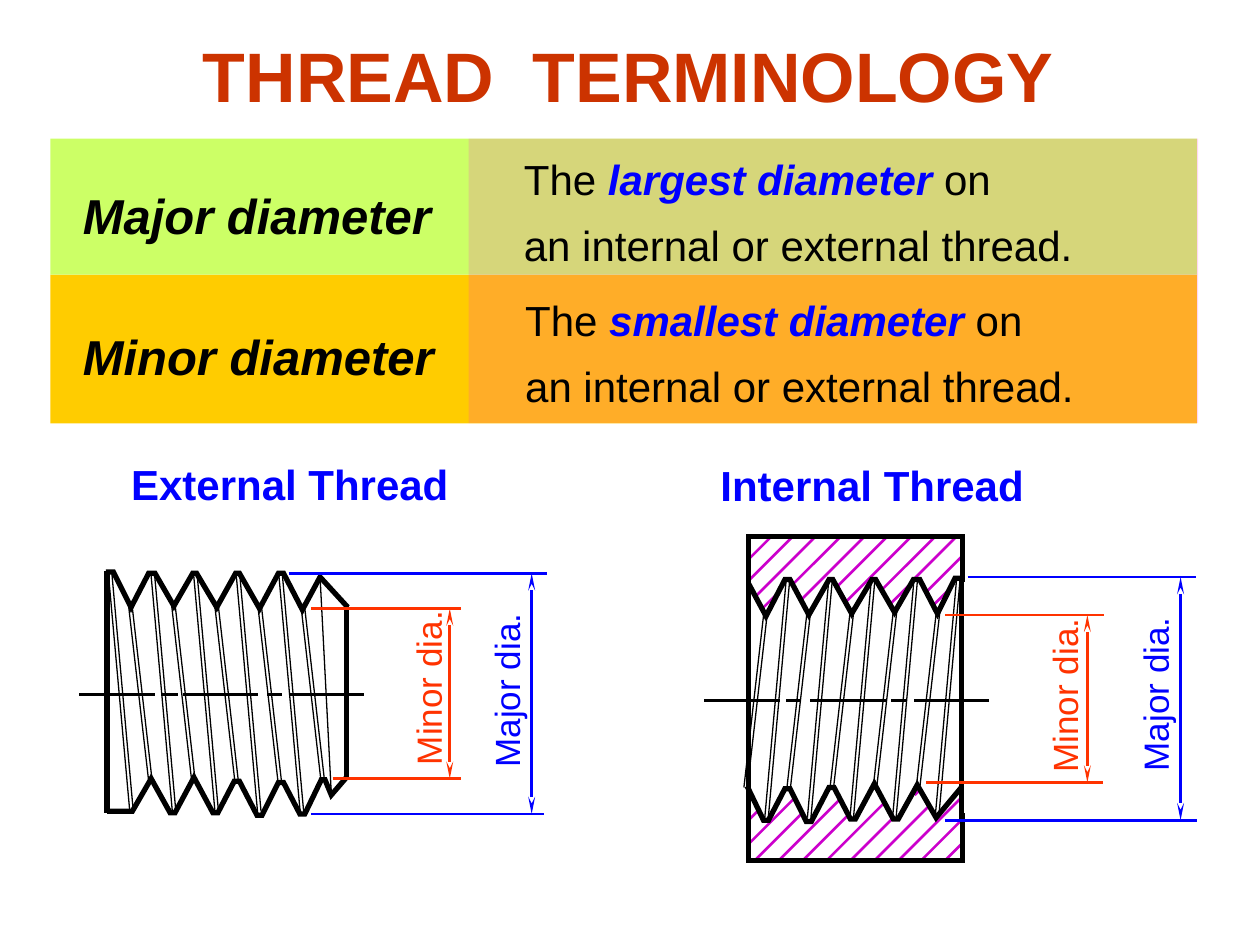
from dataclasses import dataclass
from typing import Any, NamedTuple

from lxml.etree import SubElement
from pptx import Presentation
from pptx.dml.color import RGBColor
from pptx.enum.shapes import MSO_CONNECTOR, MSO_SHAPE
from pptx.enum.text import MSO_ANCHOR, MSO_AUTO_SIZE, PP_ALIGN
from pptx.oxml.ns import qn
from pptx.util import Inches, Pt

CELL = 0.1  # the slide is a grid of 100 columns by 75 rows
COLS, ROWS = 100, 75
Point = tuple[float, float]


@dataclass(frozen=True)
class Theme:
    font: str = "Arial"
    black: str = "000000"
    blue: str = "0000FF"
    red: str = "FF3300"
    rust: str = "CC3300"
    hatch: str = "CC00CC"
    lime: str = "CCFF66"
    gold: str = "FFCC00"
    tint: str = "FF33CC"
    title: int = 40
    term: int = 28
    body: int = 24
    label: int = 20
    thick: float = 3
    mid: float = 1.5
    thin: float = 0.75


T = Theme()


class Run(NamedTuple):
    text: str
    size: int
    color: str = T.black
    bold: bool = False
    italic: bool = False


class Box(NamedTuple):
    col: float
    row: float
    wide: float
    high: float


class Edge(NamedTuple):
    left: float
    right: float
    row: float


class Gauge(NamedTuple):
    label: str
    color: str
    top: Edge
    base: Edge
    col: float  # column of the arrow
    box: Box


@dataclass(frozen=True)
class Frame:
    """Places thread points; the internal thread is a lowered mirror image."""
    flip: float = 0
    drop: float = 0

    def put(self, pts: list[Point]) -> list[Point]:
        return [(self.flip - x if self.flip else x, y + self.drop) for x, y in pts]


def grid(n: float) -> int:
    return Inches(n * CELL)


def rgb(code: str) -> RGBColor:
    return RGBColor.from_string(code)


def write(frame: Any, lines: list[list[Run]], align: Any = PP_ALIGN.LEFT, gap: float = 1.0) -> None:
    frame.word_wrap = True
    frame.auto_size = MSO_AUTO_SIZE.SHAPE_TO_FIT_TEXT
    frame.vertical_anchor = MSO_ANCHOR.TOP
    for i, line in enumerate(lines):
        para = frame.add_paragraph() if i else frame.paragraphs[0]
        para.alignment, para.line_spacing = align, gap
        for part in line:
            run = para.add_run()
            run.text = part.text
            font = run.font
            font.name, font.size = T.font, Pt(part.size)
            font.bold, font.italic = part.bold, part.italic
            font.color.rgb = rgb(part.color)


def add_text(shapes: Any, box: Box, lines: list[list[Run]], turn: int = 0, **style: Any) -> None:
    shape = shapes.add_textbox(*map(grid, box))
    shape.rotation = turn
    write(shape.text_frame, lines, **style)


def add_block(shapes: Any, box: Box, color: str, alpha: int = 100) -> None:
    shape = shapes.add_shape(MSO_SHAPE.RECTANGLE, *map(grid, box))
    shape.shadow.inherit = False
    shape.line.fill.background()
    shape.fill.solid()
    shape.fill.fore_color.rgb = rgb(color)
    if alpha < 100:
        tone = shape.fill._xPr.find(qn("a:solidFill"))[0]
        SubElement(tone, qn("a:alpha")).set("val", str(alpha * 1000))


def add_line(shapes: Any, ends: list[Point], color: str, width: float, arrows: bool = False) -> None:
    (x, y), (u, v) = ends
    line = shapes.add_connector(MSO_CONNECTOR.STRAIGHT, *map(grid, (x, y, u, v)))
    line.line.color.rgb = rgb(color)
    line.line.width = Pt(width)
    if arrows:
        for tag in ("a:headEnd", "a:tailEnd"):
            tip = SubElement(line.line._get_or_add_ln(), qn(tag))
            for key, val in (("type", "stealth"), ("w", "sm"), ("len", "lg")):
                tip.set(key, val)
    SubElement(line._element.spPr, qn("a:effectLst"))


def add_path(shapes: Any, pts: list[Point]) -> None:
    spots = [(grid(x), grid(y)) for x, y in pts]
    pen = shapes.build_freeform(*spots[0])
    pen.add_line_segments(spots[1:], close=False)
    shape = pen.convert_to_shape()
    shape.shadow.inherit = False
    shape.fill.background()
    shape.line.color.rgb = rgb(T.black)
    shape.line.width = Pt(T.thick)
    SubElement(shape.line._get_or_add_ln(), qn("a:miter")).set("lim", "800000")


def add_gauge(shapes: Any, item: Gauge) -> None:
    part = shapes.add_group_shape().shapes
    for edge in (item.top, item.base):
        add_line(part, [(edge.left, edge.row), (edge.right, edge.row)], item.color, T.mid)
    add_line(part, [(item.col, item.top.row), (item.col, item.base.row)], item.color, T.mid, True)
    add_text(part, item.box, [[Run(item.label, T.label, item.color)]], turn=270)


def add_thread(part: Any, frame: Frame, paths: list[list[Point]]) -> None:
    """Draws what both threads share: outline, wall, helix pairs, centre line."""
    for pts in paths:
        add_path(part, frame.put(pts))
    add_line(part, frame.put([(8.5, 45.3), (8.5, 64.5)]), T.black, T.thick)
    for left, top, base, step, run in ((8.6, 45.5, 64.4, 3.38, 1.7), (10.2, 48, 62, 3.42, 1.6)):
        for i in range(5):
            for x in (left + i * step, left + i * step + 0.28):
                add_line(part, frame.put([(x, top), (x + run, base)]), T.black, T.thin)
    for x, u in ((6.3, 12.3), (12.8, 14.1), (14.5, 20.5), (21.2, 22.4), (22.9, 28.9)):
        add_line(part, frame.put([(x, 55.1), (u, 55.1)]), T.black, T.mid)


# Thread profiles, in the external thread's place
CREST = [(8.4, 45.4), (9, 45.4), (10.4, 48.2), (11.8, 45.5), (12.3, 45.5), (13.8, 48.1),
         (15.3, 45.5), (15.6, 45.5), (17.2, 48.2), (18.7, 45.5), (19, 45.5), (20.6, 48.3),
         (22.1, 45.5), (22.5, 45.5), (24, 48.4), (25.4, 45.8)]
ROOT = [(10.5, 64.4), (12, 61.8), (13.5, 64.5), (13.9, 64.5), (15.4, 61.7), (16.9, 64.5),
        (17.3, 64.5), (18.6, 62), (19, 62), (20.4, 64.7), (20.8, 64.7), (22.1, 62.1),
        (22.5, 62.1), (23.8, 64.6), (24.2, 64.6), (25.5, 61.9)]

# Hatching at 45 degrees: lower-left column, row and run
HATCH = [(59.3, 65.2, 1), (59.4, 67, 3.7), (60, 68.2, 3.7), (61.9, 68.2, 4.7),
         (63.7, 68.3, 3.6), (65.6, 68.3, 4.5), (67.5, 68.3, 3.4), (69.4, 68.3, 4.4),
         (71.3, 68.3, 5.1), (72.6, 63.1, 0.3), (73.1, 68.3, 3.2), (75, 68.3, 1.4),
         (59.3, 44.5, 2), (59.4, 46.1, 3.6), (60, 47.3, 4.8), (62.9, 46.4, 3.9),
         (60.5, 48.3, 1), (63.6, 47.6, 5.1), (66.4, 46.6, 4.1), (67.1, 47.8, 5.3),
         (70.1, 46.7, 4.2), (72.5, 46, 3.5), (73.5, 47, 2.8), (74.1, 48, 1.1),
         (70.7, 47.9, 1.4)]

GAUGES = [
    Gauge("Minor dia.", T.red, Edge(24.7, 36.6, 48.3), Edge(26.4, 36.6, 61.8), 35.7,
          Box(26.9, 52.4, 14.2, 4.4)),
    Gauge("Major dia.", T.blue, Edge(22.9, 43.4, 45.5), Edge(24.7, 43.2, 64.6), 42.2,
          Box(33.1, 52.6, 14.2, 4.4)),
    Gauge("Minor dia.", T.red, Edge(75, 87.6, 48.8), Edge(73.5, 87.5, 62.1), 86.3,
          Box(77.4, 53, 14.2, 4.4)),
    Gauge("Major dia.", T.blue, Edge(76.8, 94.9, 45.8), Edge(75, 95, 65.1), 93.7,
          Box(84.6, 52.9, 14.2, 4.4)),
]


def main() -> None:
    deck = Presentation()
    deck.slide_width, deck.slide_height = grid(COLS), grid(ROWS)
    slide = deck.slides.add_slide(deck.slide_layouts[5])
    shapes = slide.shapes

    # Title
    head = shapes.title
    head.left, head.top, head.width, head.height = map(grid, Box(15.1, 2.1, 72, 7.7))
    write(head.text_frame, [[Run("THREAD  TERMINOLOGY", T.title, T.rust, True)]])

    # Definitions
    add_block(shapes, Box(4, 21.8, 91, 11.8), T.gold)
    add_block(shapes, Box(4, 11, 91, 10.8), T.lime)
    add_block(shapes, Box(37.2, 11, 57.9, 22.6), T.tint, 20)
    for term, size, row, left in (("Major", "largest", 10.5, 40.6), ("Minor", "smallest", 21.7, 40.7)):
        add_text(shapes, Box(5.6, row + 3.7, 31, 5.7),
                 [[Run(f"{term} diameter", T.term, T.black, True, True)]])
        add_text(shapes, Box(left, row, 48, 11.4),
                 [[Run("The ", T.body), Run(f"{size} diameter", T.body, T.blue, True, True),
                   Run(" on", T.body)],
                  [Run("an internal or external thread.", T.body)]], gap=1.3)

    # Drawing captions
    for name, box, align in (("External", Box(6.8, 35.9, 32.4, 5), PP_ALIGN.CENTER),
                             ("Internal", Box(56.2, 36, 30.4, 5), PP_ALIGN.LEFT)):
        add_text(shapes, box, [[Run(f"{name} Thread", T.body, T.blue, True)]], align=align)

    # External thread with its chamfered end
    part = shapes.add_group_shape().shapes
    tip = [(25.8, 61.9), (26.3, 63.1), (27.5, 61.7)]
    add_thread(part, Frame(), [CREST + [(27.6, 48.2)], [(8.5, 64.4)] + ROOT + tip])
    add_line(part, [(25.4, 45.7), (26.3, 63.1)], T.black, T.thin)
    add_line(part, [(27.5, 48.1), (27.5, 61.8)], T.black, T.thick)

    # Internal thread inside its hatched block
    part = shapes.add_group_shape().shapes
    for x, y, run in HATCH:
        add_line(part, [(x, y), (x + run, y - run)], T.hatch, T.mid)
    for near, far in ((64.5, 68.3), (46.2, 42.6)):
        add_path(part, [(59.4, near), (59.4, far), (76.4, far), (76.4, near)])
    add_thread(part, Frame(84.8, 0.5), [CREST, [(8.5, 62)] + ROOT])
    add_line(part, [(59.4, 46.2), (59.4, 64.6)], T.black, T.thick)

    # Dimensions
    for item in GAUGES:
        add_gauge(shapes, item)

    deck.save("out.pptx")


if __name__ == "__main__":
    main()
